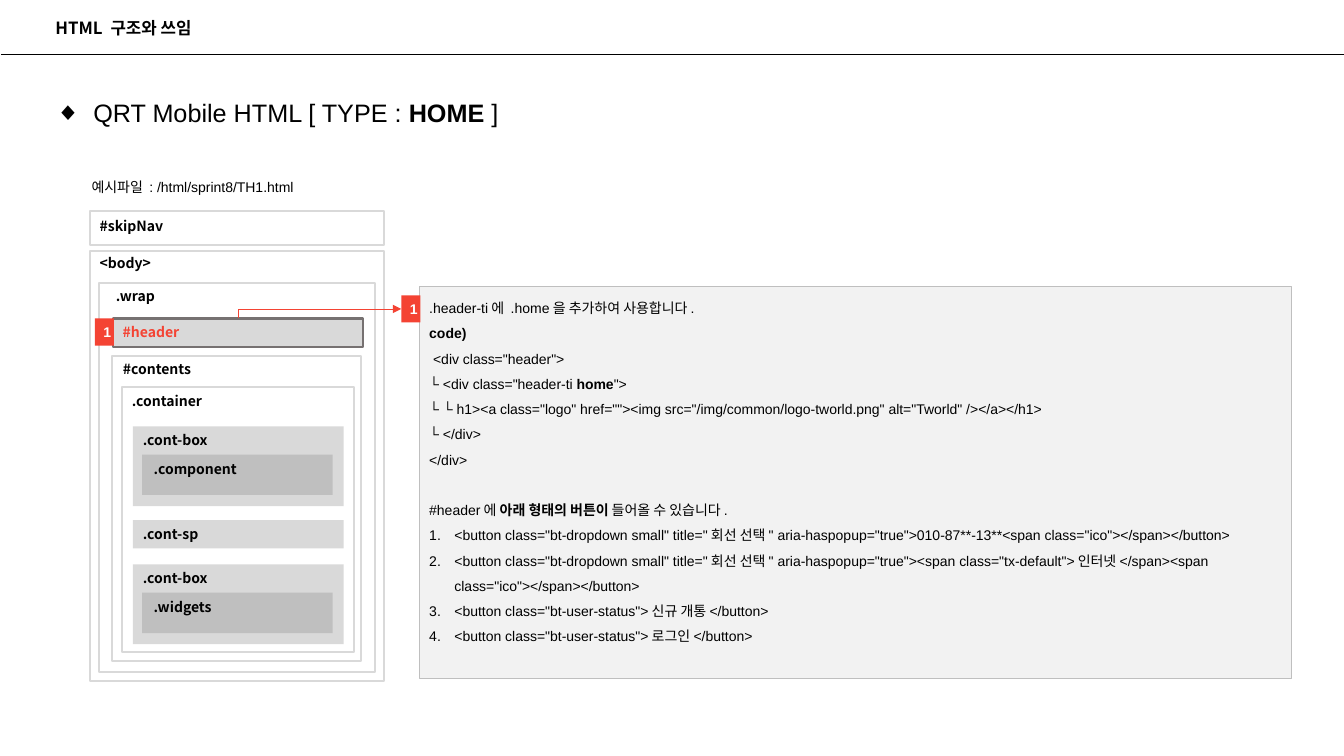
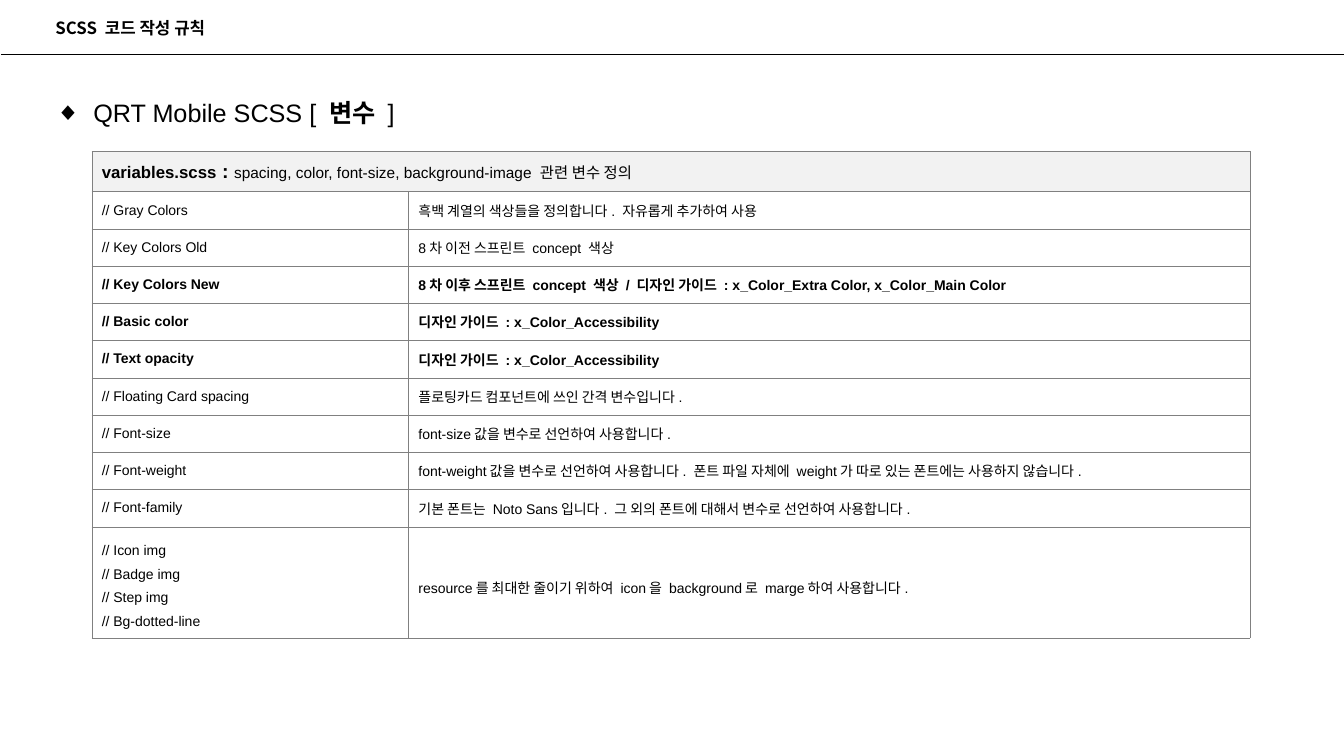
from dataclasses import dataclass
from typing import NamedTuple, Optional, Sequence

from lxml import etree
from pptx import Presentation
from pptx.dml.color import RGBColor
from pptx.enum.shapes import MSO_CONNECTOR, MSO_SHAPE
from pptx.enum.text import MSO_ANCHOR, MSO_AUTO_SIZE, PP_ALIGN
from pptx.oxml.ns import qn
from pptx.util import Pt

STRAIGHT, ELBOW = MSO_CONNECTOR.STRAIGHT, MSO_CONNECTOR.ELBOW
RECTANGLE = MSO_SHAPE.RECTANGLE
TOP, MIDDLE = MSO_ANCHOR.TOP, MSO_ANCHOR.MIDDLE
LEFT, CENTER = PP_ALIGN.LEFT, PP_ALIGN.CENTER
NO_AUTOFIT = MSO_AUTO_SIZE.NONE


@dataclass(frozen=True)
class Theme:
    black: RGBColor = RGBColor(0x00, 0x00, 0x00)
    white: RGBColor = RGBColor(0xFF, 0xFF, 0xFF)
    red: RGBColor = RGBColor(0xF4, 0x43, 0x33)
    panel: RGBColor = RGBColor(0xF2, 0xF2, 0xF2)
    light: RGBColor = RGBColor(0xD9, 0xD9, 0xD9)
    medium: RGBColor = RGBColor(0xBF, 0xBF, 0xBF)
    dark: RGBColor = RGBColor(0x76, 0x71, 0x71)
    grid: RGBColor = RGBColor(0x80, 0x80, 0x80)
    latin: str = "Arial"
    korean: str = "Noto Sans CJK KR"
    lead: float = 18
    colon: float = 14
    title: float = 12
    summary: float = 11
    text: float = 10


THEME = Theme()


class Span(NamedTuple):
    text: str
    bold: bool = False
    size: float = THEME.text
    color: RGBColor = THEME.black
    font: str = THEME.latin


class Area(NamedTuple):
    left: float
    top: float
    width: float
    height: float

    def lengths(self) -> list:
        return [Pt(value) for value in self]


@dataclass(frozen=True)
class Box:
    area: Area
    label: str
    fill: RGBColor = THEME.white
    line: Optional[RGBColor] = None
    color: RGBColor = THEME.black
    inset_left: float = 7.2
    inset_top: float = 3.6
    anchor: MSO_ANCHOR = TOP


@dataclass(frozen=True)
class CodeLine:
    spans: tuple
    numbered: bool = False
    space_before: float = 0


@dataclass(frozen=True)
class VariableRow:
    names: tuple
    meaning: str
    bold: bool = False
    spacing: Optional[float] = None
    height: float = 26.6


# Shared layout
TITLE_AREA = Area(32.4, 0, 808.6, 41.8)
LEAD_AREA = Area(32.4, 66.2, 436.3, 28.8)
RULE_TOP = 38.9
LEAD_INDENT, NUMBER_INDENT = 27, 18

# Page structure: nested boxes
FRAME = {"line": THEME.light}
CARD_LEFT, CARD_WIDTH, CARD_HEIGHT = 95, 150.5, 56.9
PART_INSET, PART_DROP = 6.5, 20.2
EXAMPLE_AREA = Area(58.3, 123.8, 215.3, 19.4)
HEADER_AREA = Area(80.6, 227.5, 178.6, 20.2)


def card_boxes(top: float, part: str) -> list[Box]:
    part_area = Area(CARD_LEFT + PART_INSET, top + PART_DROP, 136.1, 28.8)
    return [
        Box(Area(CARD_LEFT, top, CARD_WIDTH, CARD_HEIGHT), ".cont-box", THEME.light),
        Box(part_area, part, THEME.medium, inset_left=8.3, inset_top=4.3),
    ]


STRUCTURE = [
    Box(Area(64.1, 150.5, 210.2, 24.5), "#skipNav", inset_top=5, **FRAME),
    Box(Area(64.1, 179.3, 210.2, 307.4), "<body>", inset_top=2.2, **FRAME),
    Box(Area(70.6, 202.3, 197.3, 277.9), ".wrap", inset_left=12.2, inset_top=2.9, **FRAME),
    Box(HEADER_AREA, "#header", THEME.light, THEME.dark, THEME.red),
    Box(Area(79.9, 254.2, 177.8, 218.2), "#contents", inset_left=7.9, **FRAME),
    Box(Area(87.1, 276.5, 165.6, 189.4), ".container", **FRAME),
    *card_boxes(304.6, ".component"),
    Box(Area(CARD_LEFT, 371.5, CARD_WIDTH, 20.2), ".cont-sp", THEME.light, anchor=MIDDLE),
    *card_boxes(403.2, ".widgets"),
]

# Code panel
PANEL_AREA = Area(299.5, 204.5, 622.8, 280.1)
BADGES = [Area(67.7, 227.5, 13.7, 19.4), Area(286.6, 211, 13.7, 19.4)]
CODE = [
    CodeLine((Span(".header-ti에 .home을 추가하여 사용합니다."),)),
    CodeLine((Span("code)", True),)),
    CodeLine((Span(' <div class="header">'),)),
    CodeLine((Span('└ <div class="header-ti '), Span("home", True), Span('">'))),
    CodeLine((Span('└ └ h1><a class="logo" href=""><img src="/img/common/logo-tworld.png" '
                   'alt="Tworld" /></a></h1>'),)),
    CodeLine((Span("└ </div>"),)),
    CodeLine((Span("</div>"),)),
    CodeLine((Span("#header에 "), Span("아래 형태의 버튼이", True),
              Span(" 들어올 수 있습니다.")), space_before=18),
    CodeLine((Span('<button class="bt-dropdown small" title="회선 선택" aria-haspopup="true">'
                   '010-87**-13**<span class="ico"></span></button>'),), True),
    CodeLine((Span('<button class="bt-dropdown small" title="회선 선택" aria-haspopup="true">'
                   '<span class="tx-default">인터넷</span><span class="ico"></span></button>'),),
             True),
    CodeLine((Span('<button class="bt-user-status">신규 개통</button>'),), True),
    CodeLine((Span('<button class="bt-user-status">로그인</button>'),), True),
]

# Variable table
TABLE_LEFT, TABLE_TOP = 65.5, 108.3
COLUMN_WIDTHS = (226.2, 601)
HEADING_HEIGHT = 28.6
HEADING = (
    Span("variables.scss", True, THEME.title),
    Span(" : ", True, THEME.colon),
    Span("spacing, color, font-size, background-image 관련 변수 정의", size=THEME.summary),
)
VARIABLES = [
    VariableRow(("// Gray Colors",), "흑백 계열의 색상들을 정의합니다. 자유롭게 추가하여 사용"),
    VariableRow(("// Key Colors Old",), "8차 이전 스프린트 concept 색상"),
    VariableRow(("// Key Colors New",), "8차 이후 스프린트 concept 색상 / 디자인 가이드 : "
                "x_Color_Extra Color, x_Color_Main Color", True),
    VariableRow(("// Basic color",), "디자인 가이드 : x_Color_Accessibility", True),
    VariableRow(("// Text opacity",), "디자인 가이드 : x_Color_Accessibility", True),
    VariableRow(("// Floating Card spacing",), "플로팅카드 컴포넌트에 쓰인 간격 변수입니다."),
    VariableRow(("// Font-size",), "font-size값을 변수로 선언하여 사용합니다."),
    VariableRow(("// Font-weight",), "font-weight값을 변수로 선언하여 사용합니다. "
                "폰트 파일 자체에 weight가 따로 있는 폰트에는 사용하지 않습니다."),
    VariableRow(("// Font-family",), "기본 폰트는 Noto Sans입니다. "
                "그 외의 폰트에 대해서 변수로 선언하여 사용합니다."),
    VariableRow(("// Icon img", "// Badge img", "// Step img", "// Bg-dotted-line"),
                "resource를 최대한 줄이기 위하여 icon을 background로 marge하여 사용합니다.",
                spacing=1.5, height=79.3),
]


# Text helpers
def write_spans(para, spans: Sequence[Span]) -> None:
    for span in spans:
        run = para.add_run()
        run.text = span.text
        run.font.size, run.font.bold = Pt(span.size), span.bold
        run.font.color.rgb = span.color
        run.font.name = span.font
        etree.SubElement(run.font._element, qn("a:ea"), typeface=THEME.korean)


def write_paragraphs(frame, lines: Sequence[Sequence[Span]],
                     spacing: Optional[float] = None) -> None:
    for index, spans in enumerate(lines):
        para = frame.add_paragraph() if index else frame.paragraphs[0]
        para.alignment, para.line_spacing = LEFT, spacing
        write_spans(para, spans)


def add_bullet(para, indent: float, tag: str, **attributes: str) -> None:
    properties = para._p.get_or_add_pPr()
    properties.set("marL", str(Pt(indent)))
    properties.set("indent", str(-Pt(indent)))
    etree.SubElement(properties, qn("a:buFont"), typeface=THEME.latin)
    etree.SubElement(properties, qn(tag), **attributes)


# Shape helpers
def add_rectangle(page, area: Area, fill: RGBColor, line: Optional[RGBColor] = None,
                  line_width: float = 1.5):
    shape = page.shapes.add_shape(RECTANGLE, *area.lengths())
    shape.shadow.inherit = False
    shape.fill.solid()
    shape.fill.fore_color.rgb = fill
    if line is None:
        shape.line.fill.background()
    else:
        shape.line.color.rgb, shape.line.width = line, Pt(line_width)
    shape.text_frame.word_wrap = True
    shape.text_frame.vertical_anchor = TOP
    return shape


def add_line(page, kind: MSO_CONNECTOR, ends: Sequence[float], color: RGBColor, width: float):
    line = page.shapes.add_connector(kind, *[Pt(value) for value in ends])
    line.line.color.rgb, line.line.width = color, Pt(width)
    etree.SubElement(line._element.spPr, qn("a:effectLst"))
    return line


def add_box(page, box: Box) -> None:
    frame = add_rectangle(page, box.area, box.fill, box.line).text_frame
    frame.vertical_anchor = box.anchor
    frame.margin_left, frame.margin_top = Pt(box.inset_left), Pt(box.inset_top)
    write_paragraphs(frame, [[Span(box.label, True, color=box.color, font=THEME.korean)]])


def add_badge(page, area: Area) -> None:
    frame = add_rectangle(page, area, THEME.red).text_frame
    frame.margin_left, frame.margin_right = Pt(4), 0
    write_paragraphs(frame, [[Span("1", True, color=THEME.white)]])
    frame.paragraphs[0].alignment = CENTER


def add_elbow_arrow(page, start: tuple[float, float], end: tuple[float, float]) -> None:
    """Go up from start, then right to end: a two-part elbow turned by 90 degrees."""
    middle_x, middle_y = (start[0] + end[0]) / 2, (start[1] + end[1]) / 2
    half_run, half_rise = (end[0] - start[0]) / 2, (start[1] - end[1]) / 2
    ends = (middle_x + half_rise, middle_y + half_run,
            middle_x - half_rise, middle_y - half_run)
    arrow = add_line(page, ELBOW, ends, THEME.red, 0.25)
    properties = arrow._element.spPr
    properties.find(qn("a:xfrm")).set("rot", str(90 * 60000))
    properties.find(qn("a:prstGeom")).set("prst", "bentConnector2")
    etree.SubElement(properties.find(qn("a:ln")), qn("a:tailEnd"), type="triangle")


def fill_cell(cell, lines: Sequence[Sequence[Span]], fill: RGBColor,
              spacing: Optional[float] = None) -> None:
    properties = cell._tc.get_or_add_tcPr()
    for side in ("a:lnL", "a:lnR", "a:lnT", "a:lnB"):
        border = etree.SubElement(properties, qn(side), w=str(Pt(0.25)))
        solid = etree.SubElement(border, qn("a:solidFill"))
        etree.SubElement(solid, qn("a:srgbClr"), val=str(THEME.grid))
    cell.fill.solid()
    cell.fill.fore_color.rgb = fill
    cell.vertical_anchor = MIDDLE
    write_paragraphs(cell.text_frame, lines, spacing)


# Pages
def add_page(deck, title: str, lead: Sequence[Span]):
    page = deck.slides.add_slide(deck.slide_layouts[1])
    heading, body = page.placeholders[0], page.placeholders[1]
    for box, area, anchor in ((heading, TITLE_AREA, MIDDLE), (body, LEAD_AREA, TOP)):
        box.left, box.top, box.width, box.height = area.lengths()
        box.text_frame.auto_size = NO_AUTOFIT
        box.text_frame.vertical_anchor = anchor
    write_paragraphs(heading.text_frame, [[Span(title, True, THEME.title, font=THEME.korean)]], 0.9)
    add_bullet(body.text_frame.paragraphs[0], LEAD_INDENT, "a:buChar", char="◆")
    write_paragraphs(body.text_frame, [lead])
    body.text_frame.paragraphs[0].space_before = Pt(0)
    add_line(page, STRAIGHT, (0.7, RULE_TOP, 960, RULE_TOP), THEME.black, 0.5)
    return page


def add_structure_page(deck) -> None:
    page = add_page(deck, "HTML 구조와 쓰임", [
        Span("QRT Mobile HTML [ TYPE : ", size=THEME.lead),
        Span("HOME ", True, THEME.lead), Span("]", size=THEME.lead)])
    example = page.shapes.add_textbox(*EXAMPLE_AREA.lengths()).text_frame
    example.word_wrap = True
    write_paragraphs(example, [[Span("예시파일 : /html/sprint8/TH1.html")]])
    for box in STRUCTURE:
        add_box(page, box)
    panel = add_rectangle(page, PANEL_AREA, THEME.panel, THEME.medium, 0.75).text_frame
    write_paragraphs(panel, [line.spans for line in CODE], 1.5)
    for para, line in zip(panel.paragraphs, CODE):
        if line.space_before:
            para.space_before = Pt(line.space_before)
        if line.numbered:
            add_bullet(para, NUMBER_INDENT, "a:buAutoNum", type="arabicPeriod")
    target = BADGES[1]
    add_elbow_arrow(page, (HEADER_AREA.left + HEADER_AREA.width / 2, HEADER_AREA.top),
                    (target.left, target.top + target.height / 2))
    for area in BADGES:
        add_badge(page, area)


def add_variables_page(deck) -> None:
    page = add_page(deck, "SCSS 코드 작성 규칙", [
        Span("QRT Mobile SCSS [ ", size=THEME.lead),
        Span("변수 ", True, THEME.lead), Span("]", size=THEME.lead)])
    heights = [HEADING_HEIGHT, *(row.height for row in VARIABLES)]
    area = Area(TABLE_LEFT, TABLE_TOP, sum(COLUMN_WIDTHS), sum(heights))
    table = page.shapes.add_table(len(heights), len(COLUMN_WIDTHS), *area.lengths()).table
    table.first_row = table.horz_banding = False
    for column, width in zip(table.columns, COLUMN_WIDTHS):
        column.width = Pt(width)
    for row, height in zip(table.rows, heights):
        row.height = Pt(height)
    table.cell(0, 0).merge(table.cell(0, 1))
    fill_cell(table.cell(0, 0), [HEADING], THEME.panel)
    for index, row in enumerate(VARIABLES, start=1):
        for column, lines in enumerate((row.names, (row.meaning,))):
            fill_cell(table.cell(index, column), [[Span(text, row.bold)] for text in lines],
                      THEME.white, row.spacing)


def main() -> None:
    deck = Presentation()
    deck.slide_width, deck.slide_height = Pt(960), Pt(540)
    add_structure_page(deck)
    add_variables_page(deck)
    deck.save("out.pptx")


if __name__ == "__main__":
    main()
